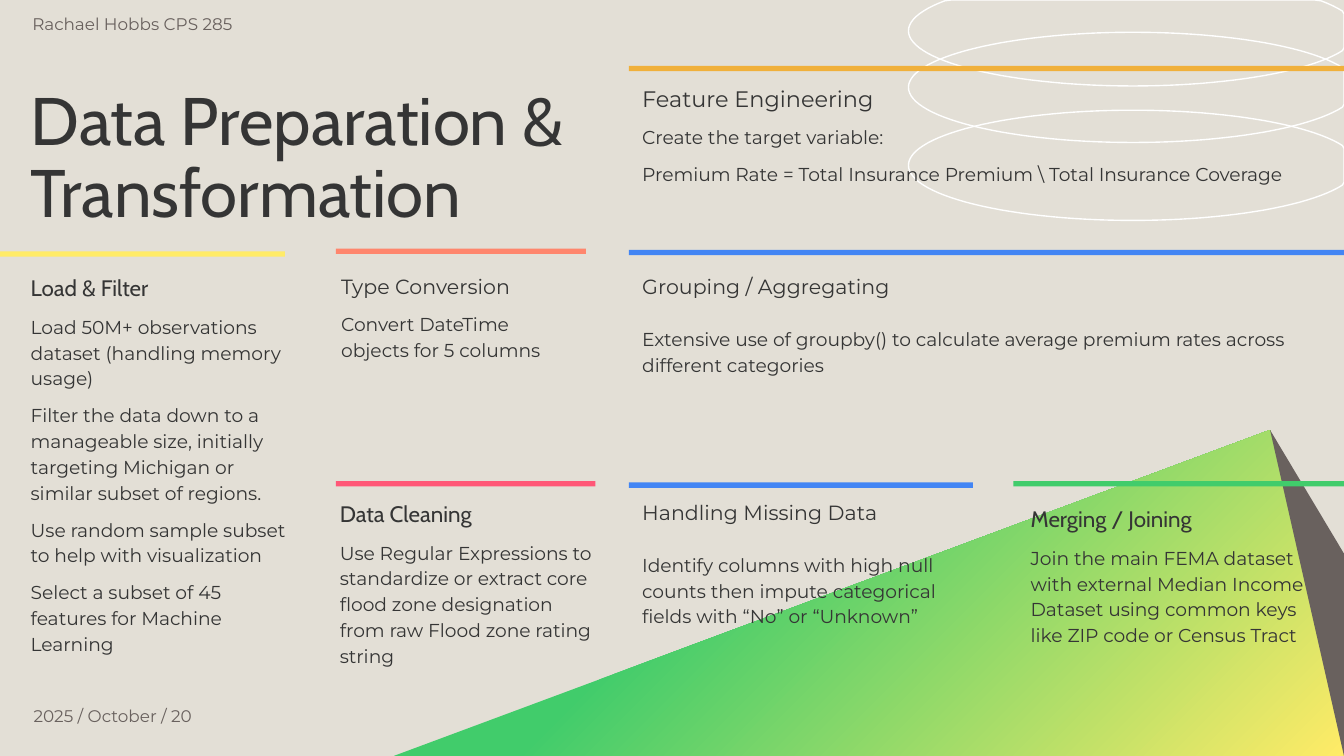
"""Build the data preparation slide."""
import dataclasses
import math
import typing

import pptx
import pptx.dml.color
import pptx.enum.shapes
import pptx.enum.text
import pptx.util

Inches = pptx.util.Inches
Pt = pptx.util.Pt
Anchor = pptx.enum.text.MSO_ANCHOR
WIDE = 10
TALL = WIDE * 9 / 16
HUES = {
    "ground": "E3DFD6", "ink": "353535", "gray": "69615E", "white": "FFFFFF",
    "yellow": "FFEB67", "gold": "F0B03B", "coral": "FF866D",
    "rose": "FF5777", "blue": "4285F4", "green": "41CC6B",
}
HEAD, BODY = "Cabin", "Montserrat"
Point = tuple[float, float]


@dataclasses.dataclass
class Bar:
    """A coloured rule above a block."""
    left: float
    top: float
    width: float
    hue: str


@dataclasses.dataclass
class Block:
    """A heading with the lines below it."""
    left: float
    top: float
    width: float
    height: float
    head: str
    lines: list[str]
    face: str = BODY
    size: float = 12
    gap: float = 6


@dataclasses.dataclass
class Label:
    """A small gray line of text."""
    left: float
    top: float
    height: float
    text: str
    inset: float
    pad: float
    anchor: Anchor


BARS = [
    Bar(0, 1.87, 2.12, "yellow"),
    Bar(4.68, 0.49, 5.32, "gold"),
    Bar(2.5, 1.85, 1.86, "coral"),
    Bar(2.5, 3.58, 1.93, "rose"),
    Bar(4.68, 1.86, 5.32, "blue"),
    Bar(4.68, 3.59, 2.56, "blue"),
    Bar(7.54, 3.58, 2.46, "green"),
]
BLOCKS = [
    Block(0.13, 1.91, 2.12, 3.05, "Load & Filter", [
        "Load 50M+ observations dataset (handling memory usage)",
        "Filter the data down to a manageable size, initially targeting "
        "Michigan or similar subset of regions.",
        "Use random sample subset to help with visualization",
        "Select a subset of 45 features for Machine Learning"], HEAD),
    Block(2.43, 3.59, 2.12, 1.3, "Data Cleaning", [
        "Use Regular Expressions to standardize or extract core flood zone "
        "designation from raw Flood zone rating string"], HEAD),
    Block(4.68, 1.91, 5.13, 1.3, "Grouping / Aggregating", [
        "Extensive use of groupby() to calculate average premium rates "
        "across different categories"], size=11, gap=14),
    Block(4.68, 0.5, 5.13, 1.22, "Feature Engineering", [
        "Create the target variable:",
        "Premium Rate = Total Insurance Premium \\ Total Insurance Coverage"]),
    Block(2.44, 1.91, 1.93, 1.3, "Type Conversion", [
        "Convert DateTime objects for 5 columns"], size=11),
    Block(4.68, 3.59, 2.56, 1.3, "Handling Missing Data", [
        "Identify columns with high null counts then impute categorical "
        "fields with “No” or “Unknown”"], size=11, gap=14),
    Block(7.57, 3.63, 2.31, 1.3, "Merging / Joining", [
        "Join the main FEMA dataset with external Median Income Dataset "
        "using common keys like ZIP code or Census Tract"], HEAD),
]
LABELS = [
    Label(0.25, 5.22, 0.21, "2025 / October / 20", 0, 0, Anchor.MIDDLE),
    Label(0.04, 0, 0.31, "Rachael Hobbs CPS 285", 0.2, 0.1, Anchor.TOP),
]


def tint(name: str) -> pptx.dml.color.RGBColor:
    """Return the named colour."""
    return pptx.dml.color.RGBColor.from_string(HUES[name])


def apply(thing: typing.Any, form: dict[str, typing.Any]) -> None:
    """Set each format value on the object."""
    for key, value in form.items():
        setattr(thing, key, value)


def set_frame(frame, left: float = 0.1, pad: float = 0.1, anchor=Anchor.TOP) -> None:
    """Set wrap, anchor and insets of a text frame."""
    apply(frame, {
        "word_wrap": True, "auto_size": pptx.enum.text.MSO_AUTO_SIZE.NONE,
        "vertical_anchor": anchor, "margin_left": Inches(left),
        "margin_right": Inches(pad), "margin_top": Inches(pad),
        "margin_bottom": Inches(pad)})


def write(para, text: str, face: str, size: float, hue: str = "ink", **form) -> None:
    """Fill a paragraph with one formatted run."""
    apply(para, {"alignment": pptx.enum.text.PP_ALIGN.LEFT, **form})
    run = para.add_run()
    run.text = text
    apply(run.font, {"name": face, "size": Pt(size), "bold": False})
    run.font.color.rgb = tint(hue)


def add_text(slide, left: float, top: float, width: float, height: float):
    """Add a text box and return its frame."""
    box = slide.shapes.add_textbox(*map(Inches, (left, top, width, height)))
    return box.text_frame


def add_block(slide, block: Block) -> None:
    """Draw a heading and its lines."""
    frame = add_text(slide, block.left, block.top, block.width, block.height)
    set_frame(frame)
    write(frame.paragraphs[0], block.head, block.face, block.size, line_spacing=1.15)
    for line in block.lines:
        write(frame.add_paragraph(), line, BODY, 10,
              line_spacing=1.15, space_before=Pt(block.gap))


def add_label(slide, label: Label) -> None:
    """Draw a small gray line of text."""
    frame = add_text(slide, label.left, label.top, 2.12, label.height)
    set_frame(frame, label.inset, label.pad, label.anchor)
    write(frame.paragraphs[0], label.text, BODY, 9, "gray")


def add_bar(slide, bar: Bar) -> None:
    """Draw a coloured rule."""
    shape = slide.shapes.add_shape(
        pptx.enum.shapes.MSO_SHAPE.RECTANGLE,
        *map(Inches, (bar.left, bar.top, bar.width, 0.04)))
    shape.shadow.inherit = False
    shape.fill.solid()
    shape.fill.fore_color.rgb = tint(bar.hue)
    shape.line.fill.background()


def add_shape(slide, points: list[Point]):
    """Draw a closed outline with no fill or line."""
    spots = [(Inches(x), Inches(y)) for x, y in points]
    pen = slide.shapes.build_freeform(*spots[0])
    pen.add_line_segments(spots[1:], close=True)
    shape = pen.convert_to_shape()
    shape.shadow.inherit = False
    shape.fill.background()
    shape.line.fill.background()
    return shape


def add_ring(slide, mid: float) -> None:
    """Draw a white oval cut off at the slide edge."""
    turns = [math.radians(3 * step) for step in range(120)]
    ring = add_shape(slide, [
        (min(8.43 + 1.67 * math.cos(turn), WIDE), max(mid + 0.41 * math.sin(turn), 0))
        for turn in turns])
    ring.line.color.rgb = tint("white")
    ring.line.width = Pt(0.75)


def add_peak(slide) -> None:
    """Draw the green slope and its dark side."""
    slope = add_shape(slide, [(9.45, 3.2), (WIDE, TALL), (2.93, TALL)])
    slope.fill.gradient()
    slope.fill.gradient_angle = 315
    for stop, place, hue in zip(slope.fill.gradient_stops, (0.35, 1), ("green", "yellow")):
        stop.position = place
        stop.color.rgb = tint(hue)
    side = add_shape(slide, [(9.45, 3.2), (WIDE, TALL), (WIDE, 4.12)])
    side.fill.solid()
    side.fill.fore_color.rgb = tint("gray")


def add_title(slide) -> None:
    """Place and fill the title."""
    title = slide.shapes.title
    apply(title, {"left": Inches(0.13), "top": Inches(0.55),
                  "width": Inches(4.73), "height": Inches(1.29)})
    set_frame(title.text_frame)
    write(title.text_frame.paragraphs[0], "Data Preparation & Transformation",
          HEAD, 36, line_spacing=0.9)


def main() -> None:
    """Build and save the slide."""
    deck = pptx.Presentation()
    apply(deck, {"slide_width": Inches(WIDE), "slide_height": Inches(TALL)})
    slide = deck.slides.add_slide(deck.slide_layouts[5])
    slide.background.fill.solid()
    slide.background.fill.fore_color.rgb = tint("ground")
    for mid in (0.23, 0.65, 1.23):
        add_ring(slide, mid)
    add_peak(slide)
    add_title(slide)
    for draw, items in ((add_bar, BARS), (add_block, BLOCKS), (add_label, LABELS)):
        for item in items:
            draw(slide, item)
    deck.save("out.pptx")


if __name__ == "__main__":
    main()
